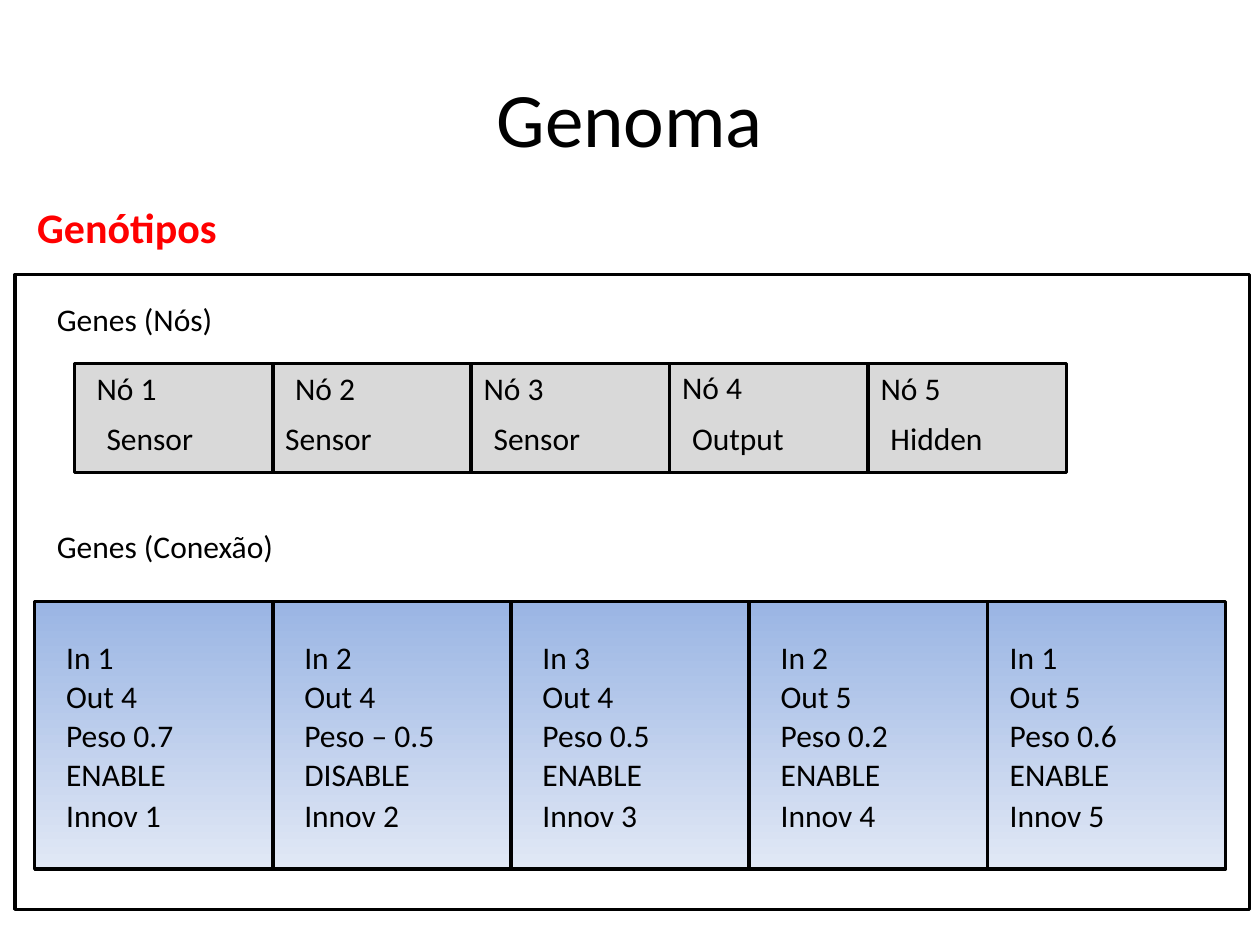
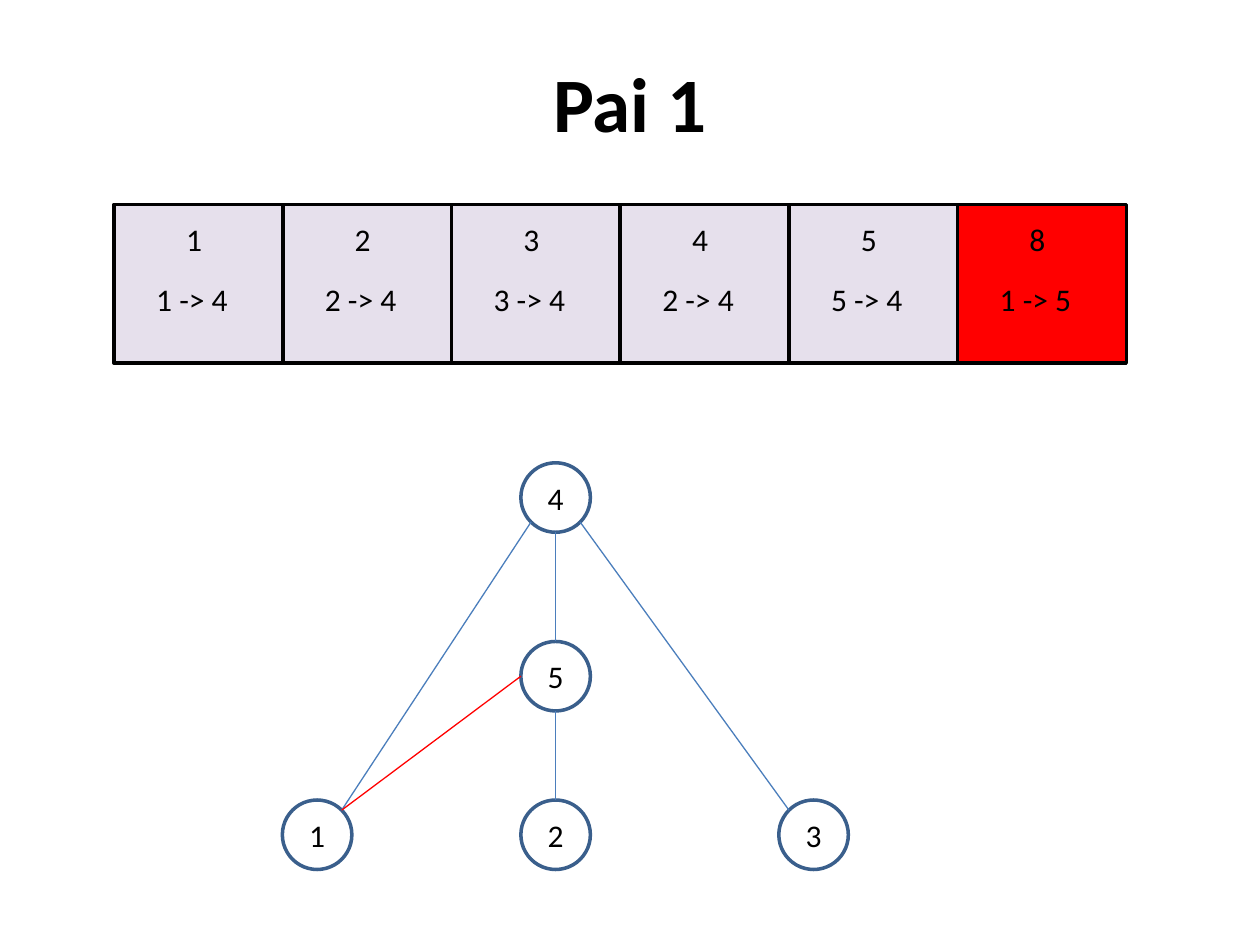
import math
import pptx
import pptx.util
import pptx.dml.color
import pptx.enum.shapes
import pptx.enum.text
import pptx.oxml.ns
from lxml import etree

Pt = pptx.util.Pt
KIND = pptx.enum.shapes.MSO_SHAPE
ALIGN = pptx.enum.text.PP_ALIGN
MIDDLE = pptx.enum.text.MSO_ANCHOR.MIDDLE

HUES = {
    "black": "000000", "white": "FFFFFF", "red": "FF0000", "gray": "D9D9D9",
    "lilac": "E6E0EC", "navy": "3A5F8C", "blue": "4B7EBC",
    "sky": "9AB5E4", "mist": "E1E8F5",
}

BODY = {"name": "Calibri", "size": Pt(18), "bold": False}
TITLE = BODY | {"size": Pt(44)}
STRONG = TITLE | {"bold": True}
HEAD = BODY | {"size": Pt(24), "bold": True}

NODES = [
    (("Nó 1", 5.7, 0), ("Sensor", 11.3, 28.5)),
    (("Nó 2", 5.7, 0), ("Sensor", 0, 28.5)),
    (("Nó 3", 0, 0), ("Sensor", 5.7, 28.5)),
    (("Nó 4", 0, -1), ("Output", 5.7, 28.5)),
    (("Nó 5", 0, 0), ("Hidden", 5.7, 28.5)),
]
LINKS = [
    ("In 1", "Out 4", "Peso 0.7", "ENABLE", "Innov 1"),
    ("In 2", "Out 4", "Peso – 0.5", "DISABLE", "Innov 2"),
    ("In 3", "Out 4", "Peso 0.5", "ENABLE", "Innov 3"),
    ("In 2", "Out 5", "Peso 0.2", "ENABLE", "Innov 4"),
    ("In 1", "Out 5", "Peso 0.6", "ENABLE", "Innov 5"),
]
ROWS = (17.3, 39.6, 62, 84.3, 108)
INSETS = (10.9, 10.9, 10.9, 10.9, 5.7)

GENES = [
    ("1", "1 -> 4", "lilac"), ("2", "2 -> 4", "lilac"),
    ("3", "3 -> 4", "lilac"), ("4", "2 -> 4", "lilac"),
    ("5", "5 -> 4", "lilac"), ("8", "1 -> 5", "red"),
]
SIZE = 39.7
SPOTS = {
    "1": (181.2, 477), "4": (317.5, 284.3), "2": (317.5, 477),
    "3": (464.9, 477), "5": (317.5, 386.4),
}
EDGES = [
    ("4", 90, "5", 270, "blue"), ("5", 90, "2", 270, "blue"),
    ("4", 135, "1", 315, "blue"), ("4", 45, "3", 225, "blue"),
    ("1", 315, "5", 180, "red"),
]


def tint(key):
    return pptx.dml.color.RGBColor.from_string(HUES[key])


def write(frame, text, style=BODY, hue="black", align=ALIGN.LEFT):
    para = frame.paragraphs[0]
    para.alignment = align
    run = para.add_run()
    run.text = text
    for name, value in style.items():
        setattr(run.font, name, value)
    run.font.color.rgb = tint(hue)


def label(slide, text, left, top, width, height=28.8, **look):
    frame = slide.shapes.add_textbox(*map(Pt, (left, top, width, height))).text_frame
    frame.word_wrap = True
    write(frame, text, **look)
    return frame


def title(slide, text, height, style):
    frame = label(slide, text, 36, 21.6, 648, height, style=style, align=ALIGN.CENTER)
    frame.vertical_anchor = MIDDLE


def block(slide, left, top, width, height, fill, line="black", kind=KIND.RECTANGLE):
    shape = slide.shapes.add_shape(kind, *map(Pt, (left, top, width, height)))
    shape.shadow.inherit = False
    if isinstance(fill, tuple):
        shape.fill.gradient()
        shape.fill.gradient_angle = 270
        for stop, hue, place in zip(shape.fill.gradient_stops, fill, (0, 1)):
            stop.color.rgb = tint(hue)
            stop.position = place
    else:
        shape.fill.solid()
        shape.fill.fore_color.rgb = tint(fill)
    shape.line.color.rgb = tint(line)
    shape.line.width = Pt(2)
    return shape


def rim(node, angle):
    x, y = SPOTS[node]
    turn = math.radians(angle)
    return Pt(x + SIZE / 2 * math.cos(turn)), Pt(y + SIZE / 2 * math.sin(turn))


def draw_edge(slide, start, leave, end, enter, hue):
    line = slide.shapes.add_connector(
        pptx.enum.shapes.MSO_CONNECTOR.STRAIGHT, *rim(start, leave), *rim(end, enter))
    line.line.color.rgb = tint(hue)
    line.line.width = Pt(0.75)
    etree.SubElement(line._element.spPr, pptx.oxml.ns.qn("a:effectLst"))


def draw_genome(slide):
    title(slide, "Genoma", 90, TITLE)
    block(slide, 8.6, 156.8, 705.6, 362.8, "white")
    label(slide, "Genótipos", 14.2, 111.6, 255, 36, style=HEAD, hue="red")
    label(slide, "Genes (Nós)", 25.4, 168, 187)
    label(slide, "Genes (Conexão)", 25.4, 297.6, 187)
    for i in range(len(NODES)):
        block(slide, 42.5 + 113.4 * i, 207.6, 113.4, 62.4, "gray")
    for i, parts in enumerate(NODES):
        for text, right, down in parts:
            label(slide, text, 42.5 + 113.4 * i + right, 207.6 + down, 90.7)
    for i in range(len(LINKS)):
        block(slide, 19.8 + 136.1 * i, 343.6, 136.1, 153.1, ("sky", "mist"))
    for i, (lines, inset) in enumerate(zip(LINKS, INSETS)):
        for text, down in zip(lines, ROWS):
            label(slide, text, 19.8 + 136.1 * i + inset, 343.6 + down, 96.4)


def draw_parent(slide):
    title(slide, "Pai 1", 72.7, STRONG)
    for node, (x, y) in SPOTS.items():
        disc = block(slide, x - SIZE / 2, y - SIZE / 2, SIZE, SIZE,
                     "white", "navy", KIND.FLOWCHART_CONNECTOR)
        disc.text_frame.vertical_anchor = MIDDLE
        write(disc.text_frame, node, align=ALIGN.CENTER)
    for edge in EDGES:
        draw_edge(slide, *edge)
    for i, (mark, link, fill) in enumerate(GENES):
        left = 65.2 + 96.4 * i
        block(slide, left, 116.8, 96.4, 90.7, fill)
        label(slide, mark, left + 34, 122.4, 22.3)
        label(slide, link, left + 17, 156.6, 62.6)


def main():
    deck = pptx.Presentation()
    deck.slide_width, deck.slide_height = Pt(720), Pt(540)
    for draw in (draw_genome, draw_parent):
        draw(deck.slides.add_slide(deck.slide_layouts[6]))
    deck.save("out.pptx")


if __name__ == "__main__":
    main()
